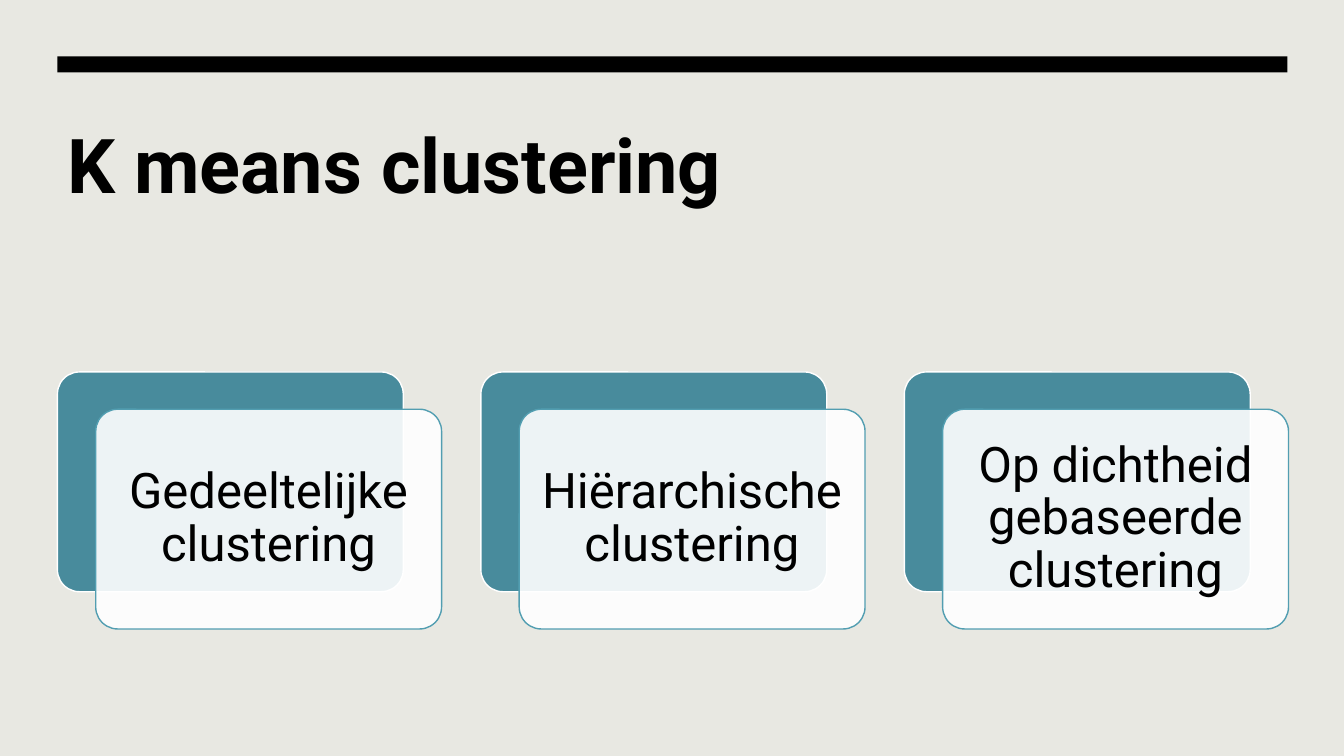
"""Build the K means clustering slide."""
from dataclasses import dataclass

from lxml import etree
from pptx import Presentation
from pptx.dml.color import RGBColor as RGB
from pptx.enum.shapes import MSO_SHAPE as SHAPE
from pptx.enum.text import MSO_ANCHOR as ANCHOR, PP_ALIGN as ALIGN
from pptx.oxml.ns import qn
from pptx.util import Inches, Pt


@dataclass(frozen=True)
class Theme:
    """Colours, font and type sizes of the slide."""
    background: RGB = RGB(0xE8, 0xE8, 0xE2)
    ink: RGB = RGB(0, 0, 0)
    white: RGB = RGB(0xFF, 0xFF, 0xFF)
    teal: RGB = RGB(0x48, 0x8B, 0x9C)
    outline: RGB = RGB(0x52, 0x9E, 0xB1)
    font: str = "Roboto"
    title_size: int = 54
    card_size: int = 35


THEME = Theme()
METHODS = (
    "Gedeeltelijke clustering",
    "Hiërarchische clustering",
    "Op dichtheid gebaseerde clustering",
)
CARD_LEFT, CARD_TOP, CARD_PITCH = 0.57, 3.69, 4.2
CARD_WIDTH, CARD_HEIGHT = 3.43, 2.18
FRONT_DX, FRONT_DY = 0.38, 0.37


def add_panel(slide, kind, left, top, width, height, fill, line=None):
    """Add a filled shape with an optional outline."""
    sp = slide.shapes.add_shape(
        kind, Inches(left), Inches(top), Inches(width), Inches(height))
    sp.shadow.inherit = False
    sp.fill.solid()
    sp.fill.fore_color.rgb = fill
    if line is None:
        sp.line.fill.background()
    else:
        sp.line.color.rgb = line
        sp.line.width = Pt(1)
    return sp


def add_card_panel(slide, left, top, fill, line):
    """Add one rounded panel of a card."""
    sp = add_panel(slide, SHAPE.ROUNDED_RECTANGLE, left, top,
                   CARD_WIDTH, CARD_HEIGHT, fill, line)
    sp.adjustments[0] = 0.1
    return sp


def set_opacity(sp, percent):
    """Set the opacity of a solid fill."""
    color = sp.fill._xPr.find(qn("a:solidFill"))[0]
    etree.SubElement(color, qn("a:alpha"), val=str(percent * 1000))


def set_text(tf, text, size, bold=False):
    """Write one wrapped paragraph and return it."""
    tf.word_wrap = True
    p = tf.paragraphs[0]
    p.text = text
    p.font.name = THEME.font
    p.font.size = Pt(size)
    p.font.bold = bold
    p.font.color.rgb = THEME.ink
    return p


def add_title(slide, text):
    """Add the slide title."""
    sp = slide.shapes.add_textbox(
        Inches(0.57), Inches(1.07), Inches(12.2), Inches(1.79))
    sp.text_frame.margin_top = Inches(0.1)
    set_text(sp.text_frame, text, THEME.title_size, bold=True)


def add_card(slide, left, text):
    """Add a teal panel with a translucent labelled panel over it."""
    add_card_panel(slide, left, CARD_TOP, THEME.teal, THEME.white)
    front = add_card_panel(slide, left + FRONT_DX, CARD_TOP + FRONT_DY,
                           THEME.white, THEME.outline)
    set_opacity(front, 90)
    tf = front.text_frame
    tf.margin_left = tf.margin_right = Inches(0.15)
    tf.margin_top = tf.margin_bottom = Inches(0.15)
    tf.vertical_anchor = ANCHOR.MIDDLE
    p = set_text(tf, text, THEME.card_size)
    p.alignment = ALIGN.CENTER
    p.line_spacing = 0.9


def main():
    """Build and save the slide."""
    prs = Presentation()
    prs.slide_width, prs.slide_height = Inches(13.33), Inches(7.5)
    slide = prs.slides.add_slide(prs.slide_layouts[6])
    slide.background.fill.solid()
    slide.background.fill.fore_color.rgb = THEME.background
    add_title(slide, "K means clustering")
    add_panel(slide, SHAPE.RECTANGLE, 0.57, 0.56, 12.2, 0.16, THEME.ink)
    for i, method in enumerate(METHODS):
        add_card(slide, CARD_LEFT + i * CARD_PITCH, method)
    prs.save("out.pptx")


if __name__ == "__main__":
    main()
